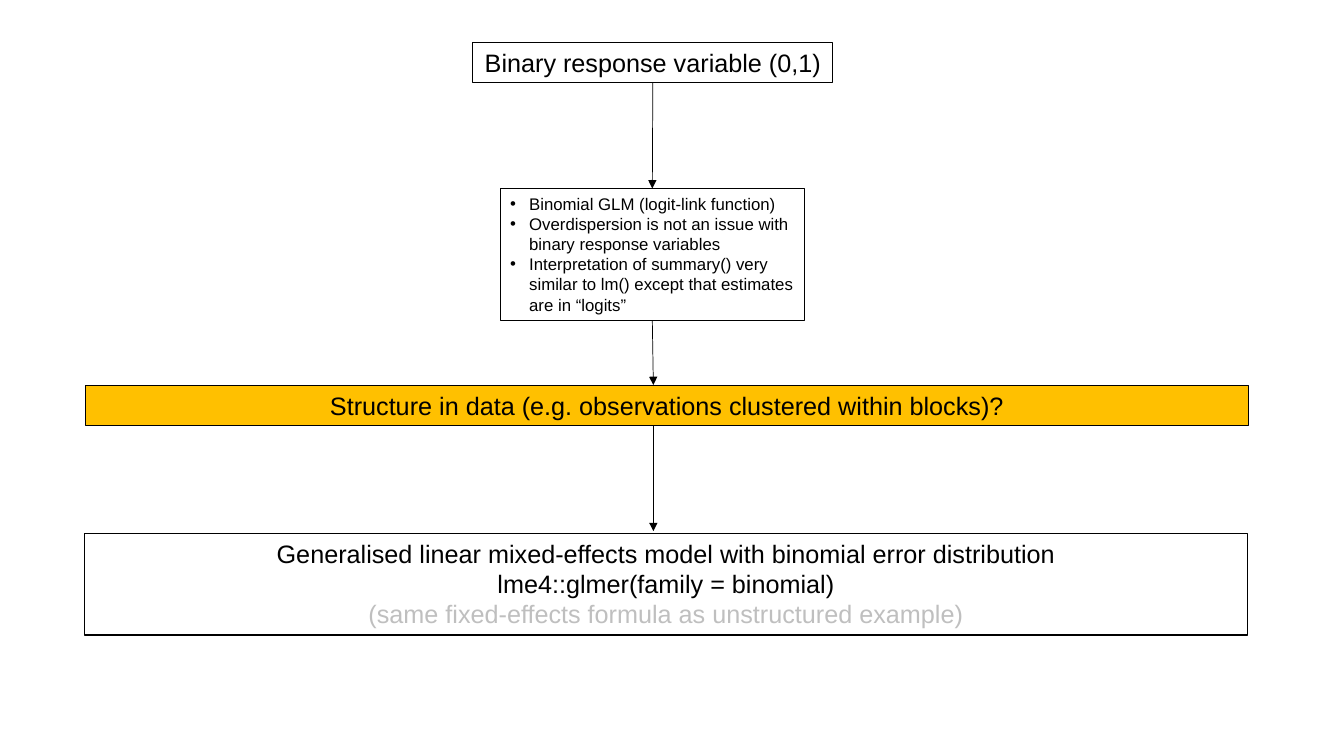
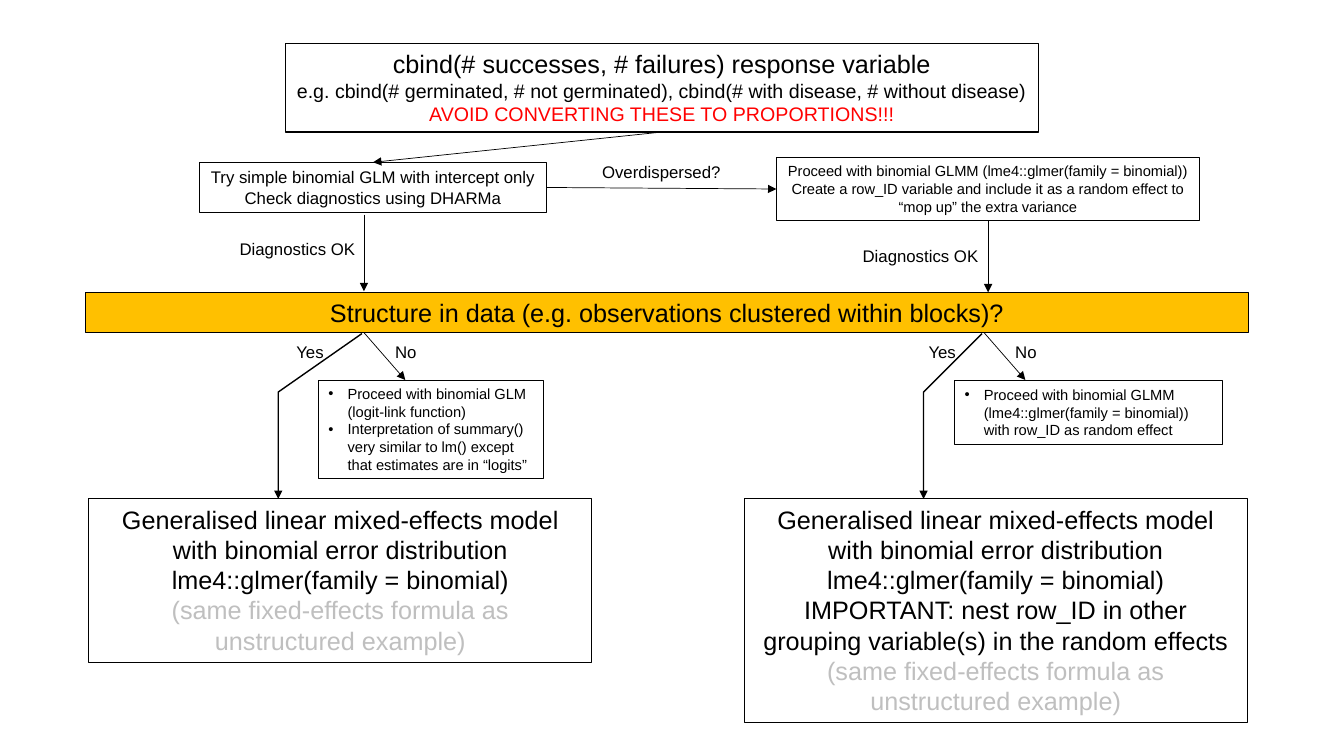
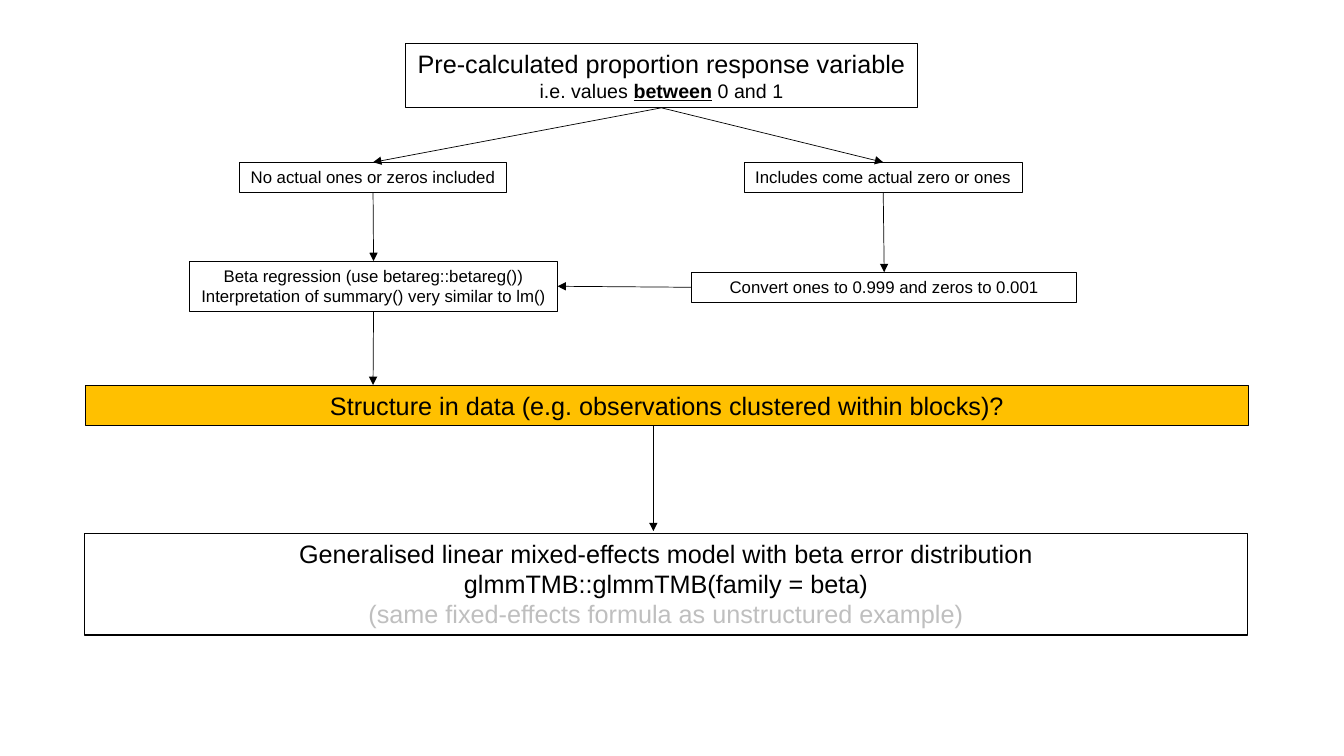
from lxml.etree import SubElement
from pptx import Presentation
from pptx.dml.color import RGBColor
from pptx.enum.shapes import MSO_CONNECTOR, MSO_SHAPE
from pptx.enum.text import MSO_ANCHOR, MSO_AUTO_SIZE, PP_ALIGN
from pptx.oxml.ns import qn
from pptx.util import Pt

PX = 9144  # 100 px to the inch
SLIDE_SIZE = (1333, 750)
FONT = "Arial"
COLORS = {"ink": "000000", "band": "FFC000", "muted": "BFBFBF", "warning": "FF0000"}
TOP, LEFT, BOTTOM, RIGHT = range(4)
BULLET_INDENT = 19

# Box roles: text size, and where they apply wrap, bullets, fill, outline
ROLES = {
    "head": {"size": 18, "wrap": False},
    "band": {"size": 18, "fill": "band"},
    "result": {"size": 18},
    "step": {"size": 12, "wrap": False},
    "wide step": {"size": 12},
    "small step": {"size": 10.5},
    "notes": {"size": 12, "bullets": True},
    "small notes": {"size": 10.5, "bullets": True},
    "label": {"size": 12, "outline": False},
}
# Run styles, on top of the role
STYLES = {
    "plain": {},
    "detail": {"size": 14},
    "strong": {"size": 14, "bold": True},
    "warning": {"size": 14, "color": "warning"},
    "muted": {"color": "muted"},
}

# Text that returns on several slides
QUESTION = ["Structure in data (e.g. observations clustered within blocks)?"]
BINOMIAL = [
    "Generalised linear mixed-effects model with binomial error distribution",
    "lme4::glmer(family = binomial)",
]
BETA = [
    "Generalised linear mixed-effects model with beta error distribution",
    "glmmTMB::glmmTMB(family = beta)",
]
SAME_FORMULA = [("(same fixed-effects formula as unstructured example)", "muted")]
LOGITS = ("Interpretation of summary() very similar to lm() "
          "except that estimates are in “logits”")


def band(top):
    return ("band", (85, top, 1153, 40), QUESTION)


def full_result(lines):
    return ("result", (84, 529, 1153, 101), lines + [SAME_FORMULA])


BAND_TO_RESULT = ((648, 422), (648, 527))

# Boxes: name -> role, (left, top, width, height), paragraphs
# Arrows: each end is a point or (box name, side)
# Forks: apex x, elbow x, left of the "Yes" label
SLIDES = [
    {
        "boxes": {
            "response": ("head", (469, 42, 357, 40), ["Binary response variable (0,1)"]),
            "glm": ("notes", (496, 187, 302, 131), [
                "Binomial GLM (logit-link function)",
                "Overdispersion is not an issue with binary response variables",
                LOGITS,
            ]),
            "structure": band(382),
            "mixed": full_result(BINOMIAL),
        },
        "arrows": [
            (("response", BOTTOM), ("glm", TOP)),
            (("glm", BOTTOM), (648, 382)),
            BAND_TO_RESULT,
        ],
    },
    {
        "boxes": {
            "response": ("head", (283, 43, 747, 88), [
                "cbind(# successes, # failures) response variable",
                [("e.g. cbind(# germinated, # not germinated), "
                  "cbind(# with disease, # without disease)", "detail")],
                [("AVOID CONVERTING THESE TO PROPORTIONS!!!", "warning")],
            ]),
            "glm": ("step", (198, 161, 344, 50), [
                "Try simple binomial GLM with intercept only",
                "Check diagnostics using DHARMa",
            ]),
            "glmm": ("small step", (770, 156, 420, 63), [
                "Proceed with binomial GLMM (lme4::glmer(family = binomial))",
                "Create a row_ID variable and include it as a random effect "
                "to “mop up” the extra variance",
            ]),
            "overdispersed": ("label", (583, 156, 146, 30), ["Overdispersed?"]),
            "glm ok": ("label", (208, 232, 174, 30), ["Diagnostics OK"]),
            "glmm ok": ("label", (826, 239, 174, 30), ["Diagnostics OK"]),
            "structure": band(290),
            "glm notes": ("small notes", (316, 377, 223, 98), [
                "Proceed with binomial GLM (logit-link function)",
                LOGITS,
            ]),
            "glmm notes": ("small notes", (947, 378, 266, 63), [
                "Proceed with binomial GLMM (lme4::glmer(family = binomial)) "
                "with row_ID as random effect",
            ]),
            "mixed": ("result", (88, 495, 499, 162), BINOMIAL + [SAME_FORMULA]),
            "nested": ("result", (738, 495, 499, 222), BINOMIAL + [
                "IMPORTANT: nest row_ID in other grouping variable(s) in the random effects",
                SAME_FORMULA,
            ]),
        },
        "arrows": [
            (("response", BOTTOM), ("glm", TOP)),
            (("glm", RIGHT), ("glmm", LEFT)),
            ((361, 213), (361, 289)),
            (("glmm", BOTTOM), (980, 290)),
        ],
        "forks": [(361, 276, 268), (976, 916, 895)],
    },
    {
        "boxes": {
            "response": ("head", (402, 43, 508, 64), [
                "Pre-calculated proportion response variable",
                [("i.e. values ", "detail"), ("between", "strong"), (" 0 and 1", "detail")],
            ]),
            "inside": ("step", (238, 161, 264, 30), ["No actual ones or zeros included"]),
            "extremes": ("step", (738, 161, 276, 30), ["Includes come actual zero or ones"]),
            "beta": ("step", (188, 259, 365, 50), [
                "Beta regression (use betareg::betareg())",
                "Interpretation of summary() very similar to lm()",
            ]),
            "convert": ("wide step", (686, 270, 382, 30),
                        ["Convert ones to 0.999 and zeros to 0.001"]),
            "structure": band(382),
            "mixed": full_result(BETA),
        },
        "arrows": [
            (("response", BOTTOM), ("inside", TOP)),
            (("response", BOTTOM), ("extremes", TOP)),
            (("inside", BOTTOM), ("beta", TOP)),
            (("extremes", BOTTOM), ("convert", TOP)),
            (("convert", LEFT), ("beta", RIGHT)),
            (("beta", BOTTOM), (370, 382)),
            BAND_TO_RESULT,
        ],
    },
]


def rgb(name):
    return RGBColor.from_string(COLORS[name])


def draw_line(shape, width, arrow=False):
    shape.line.color.rgb = rgb("ink")
    shape.line.width = Pt(width)
    if arrow:
        outline = shape._element.spPr.find(qn("a:ln"))
        SubElement(outline, qn("a:tailEnd"), type="triangle")


def add_bullet(para):
    props = para._p.get_or_add_pPr()
    props.set("marL", str(BULLET_INDENT * PX))
    props.set("indent", str(-BULLET_INDENT * PX))
    SubElement(props, qn("a:buFont"), typeface=FONT)
    SubElement(props, qn("a:buChar"), char="•")


def write(frame, role, paragraphs):
    frame.word_wrap = role.get("wrap", True)
    frame.auto_size = MSO_AUTO_SIZE.SHAPE_TO_FIT_TEXT
    frame.vertical_anchor = MSO_ANCHOR.TOP
    for index, runs in enumerate(paragraphs):
        para = frame.add_paragraph() if index else frame.paragraphs[0]
        if role.get("bullets"):
            para.alignment = PP_ALIGN.LEFT
            add_bullet(para)
        else:
            para.alignment = PP_ALIGN.CENTER
        for text, style_name in [(runs, "plain")] if isinstance(runs, str) else runs:
            style = STYLES[style_name]
            span = para.add_run()
            span.text = text
            span.font.name = FONT
            span.font.size = Pt(style.get("size", role["size"]))
            span.font.color.rgb = rgb(style.get("color", "ink"))
            if style.get("bold"):
                span.font.bold = span.font.underline = True


def add_box(page, role_name, place, paragraphs):
    role = ROLES[role_name]
    place = [length * PX for length in place]
    if role.get("outline", True):
        box = page.shapes.add_shape(MSO_SHAPE.RECTANGLE, *place)
        box.shadow.inherit = False
        if "fill" in role:
            box.fill.solid()
            box.fill.fore_color.rgb = rgb(role["fill"])
        else:
            box.fill.background()
        draw_line(box, 0.75)
    else:
        box = page.shapes.add_textbox(*place)
    write(box.text_frame, role, paragraphs)
    return box


def add_arrow(page, boxes, start, end):
    arrow = page.shapes.add_connector(MSO_CONNECTOR.STRAIGHT, 0, 0, 0, 0)
    if start[0] in boxes:
        arrow.begin_connect(boxes[start[0]], start[1])
    else:
        arrow.begin_x, arrow.begin_y = (length * PX for length in start)
    if end[0] in boxes:
        arrow.end_connect(boxes[end[0]], end[1])
    else:
        arrow.end_x, arrow.end_y = (length * PX for length in end)
    draw_line(arrow, 0.5, arrow=True)
    SubElement(arrow._element.spPr, qn("a:effectLst"))


def add_fork(page, apex, elbow, yes_left):
    # Bent "Yes" branch down to the mixed model
    builder = page.shapes.build_freeform(apex - 2, 331, scale=PX)
    builder.add_line_segments([(elbow, 389), (elbow, 495)], close=False)
    branch = builder.convert_to_shape()
    branch.shadow.inherit = False
    branch.fill.background()
    draw_line(branch, 1, arrow=True)
    # Short "No" branch
    add_arrow(page, {}, (apex, 330), (apex + 41, 377))
    for left, answer in ((yes_left, "Yes"), (apex + 2, "No")):
        add_box(page, "label", (left, 334, 79, 30), [answer])


def main():
    deck = Presentation()
    deck.slide_width, deck.slide_height = (length * PX for length in SLIDE_SIZE)
    for content in SLIDES:
        page = deck.slides.add_slide(deck.slide_layouts[6])
        boxes = {name: add_box(page, *box) for name, box in content["boxes"].items()}
        for start, end in content["arrows"]:
            add_arrow(page, boxes, start, end)
        for fork in content.get("forks", []):
            add_fork(page, *fork)
    deck.save("out.pptx")


if __name__ == "__main__":
    main()
